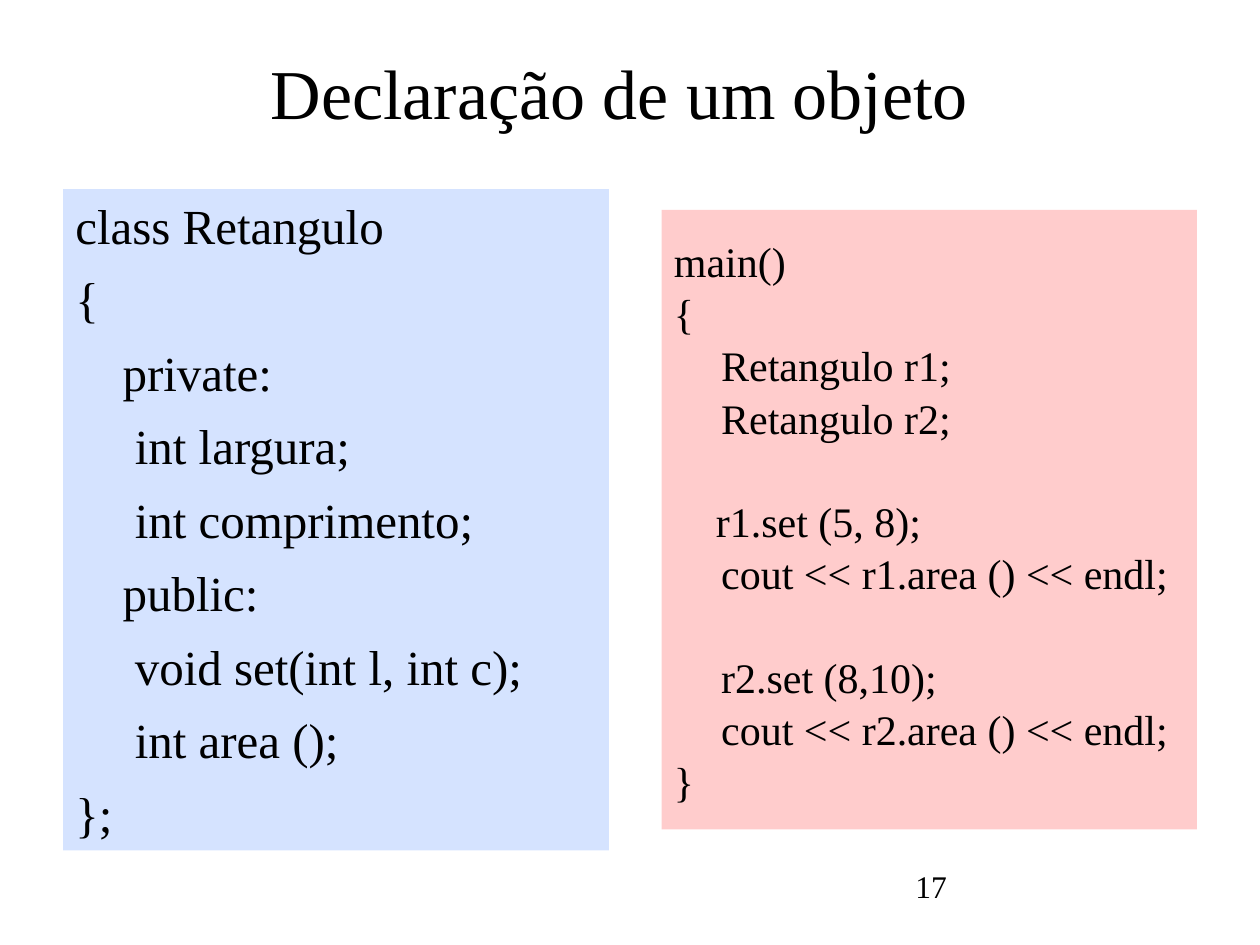
from pptx import Presentation
from pptx.dml.color import RGBColor
from pptx.enum.shapes import MSO_SHAPE as Shape
from pptx.enum.text import MSO_ANCHOR as Anchor, PP_ALIGN as Align
from pptx.util import Pt

BLACK = RGBColor(0x00, 0x00, 0x00)
BLUE = RGBColor(0xD5, 0xE3, 0xFF)
PINK = RGBColor(0xFF, 0xCC, 0xCC)
FONT = "Times New Roman"
INDENT = 27

CLASS_CODE = [
    "class Retangulo", "{", "\tprivate:", "\t int largura;",
    "\t int comprimento;", "\tpublic:", "\t void set(int l, int c);",
    "\t int area ();", "};",
]
# Each block of statements is set apart by one line of space
MAIN_CODE = [
    ["main()", "{", "\tRetangulo r1;", "\tRetangulo r2;"],
    ["r1.set (5, 8);", "\tcout << r1.area () << endl;"],
    ["\tr2.set (8,10);", "\tcout << r2.area () << endl;", "}"],
]


def write(p, text, size, align=Align.LEFT, before=0, spacing=None,
          left=0, hanging=0):
    p.alignment = align
    p.space_before = Pt(before)
    if spacing:
        p.line_spacing = spacing
    pPr = p._p.get_or_add_pPr()
    pPr.set("marL", str(Pt(left)))
    pPr.set("indent", str(Pt(-hanging)))
    r = p.add_run()
    r.text = text
    r.font.name, r.font.size = FONT, Pt(size)
    r.font.color.rgb = BLACK


class CodeSlide:
    def __init__(self, prs):
        self.s = prs.slides.add_slide(prs.slide_layouts[6])

    def text(self, box, text, size, anchor=Anchor.TOP, **fmt):
        tf = self.s.shapes.add_textbox(*map(Pt, box)).text_frame
        tf.word_wrap = True
        tf.vertical_anchor = anchor
        write(tf.paragraphs[0], text, size, **fmt)

    def panel(self, box, fill, top=3.6):
        sp = self.s.shapes.add_shape(Shape.RECTANGLE, *map(Pt, box))
        sp.shadow.inherit = False
        sp.fill.solid()
        sp.fill.fore_color.rgb = fill
        sp.line.fill.background()
        tf = sp.text_frame
        tf.word_wrap = True
        tf.vertical_anchor = Anchor.TOP
        tf.margin_top = Pt(top)
        return tf

    def code(self, box, fill, blocks, size, before, gap=0, top=3.6,
             spacing=None):
        tf = self.panel(box, fill, top)
        for b, block in enumerate(blocks):
            for i, line in enumerate(block):
                first = b == 0 and i == 0
                p = tf.paragraphs[0] if first else tf.add_paragraph()
                space = 0 if first else before + (gap if b and i == 0 else 0)
                # The first call is set in by a plain margin, without a tab
                plain = line.startswith("r1.")
                write(p, line, size, before=space, spacing=spacing,
                      left=24 if plain else INDENT,
                      hanging=0 if plain else INDENT)


def main():
    prs = Presentation()
    prs.slide_width, prs.slide_height = Pt(720), Pt(540)
    slide = CodeSlide(prs)

    # Page number
    slide.text((516, 492, 168, 37.5), "17", 18)
    # Class declaration
    slide.code((36, 108, 312, 378), BLUE, [CLASS_CODE], 28, before=8.4)
    # Title
    slide.text((30, 27, 648, 50.4), "Declaração de um objeto", 40,
               anchor=Anchor.MIDDLE, align=Align.CENTER)
    # Main program
    slide.code((378, 120, 306, 354), PINK, MAIN_CODE, 24, before=6.9,
               gap=29, top=20, spacing=0.8)

    prs.save("out.pptx")


if __name__ == "__main__":
    main()
